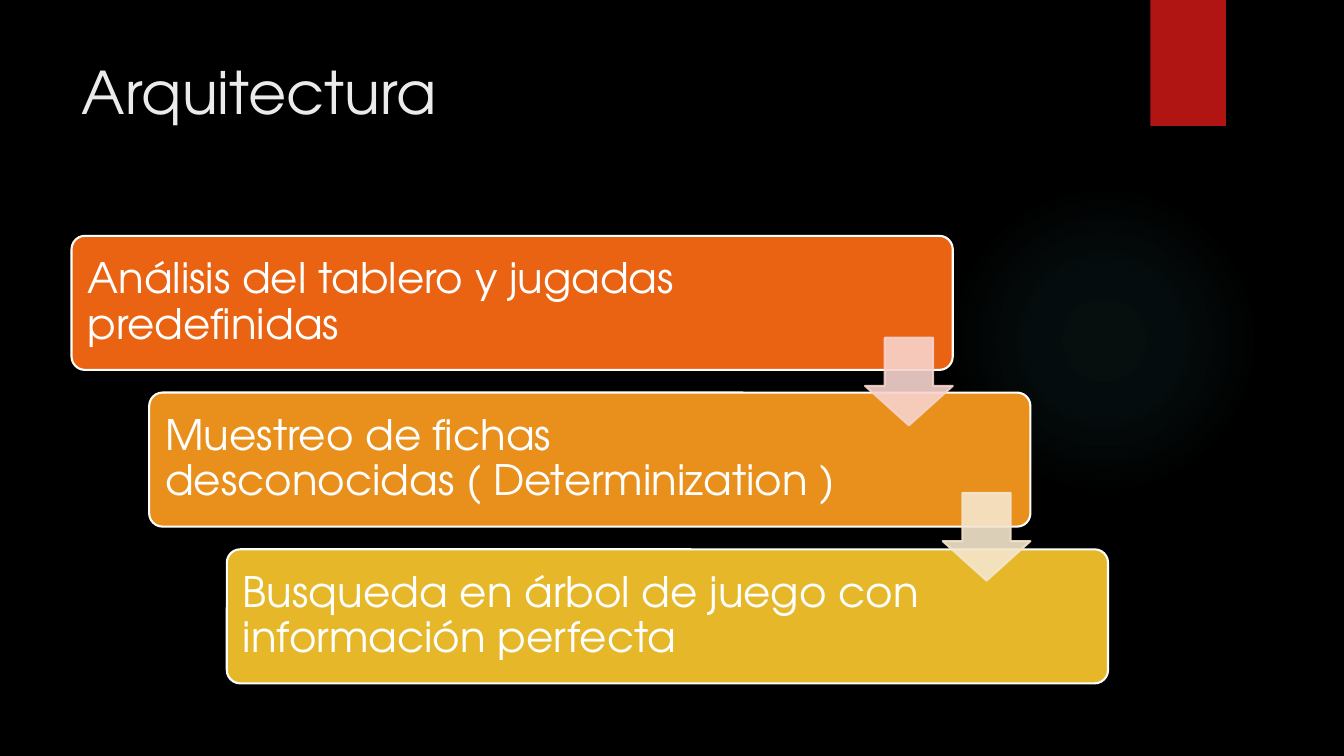
from lxml import etree
from pptx import Presentation
from pptx.dml.color import RGBColor
from pptx.enum.shapes import MSO_SHAPE
from pptx.enum.text import MSO_ANCHOR, PP_ALIGN
from pptx.oxml import parse_xml
from pptx.oxml.ns import nsdecls, qn
from pptx.util import Inches, Pt

ELLIPSE = MSO_SHAPE.OVAL
RECTANGLE = MSO_SHAPE.RECTANGLE
ROUNDED = MSO_SHAPE.ROUNDED_RECTANGLE
DOWN_ARROW = MSO_SHAPE.DOWN_ARROW
TOP = MSO_ANCHOR.TOP
MIDDLE = MSO_ANCHOR.MIDDLE
LEFT = PP_ALIGN.LEFT

STEPS = [
    ("Análisis del tablero y jugadas predefinidas", "EA6312", 1.47),
    ("Muestreo de fichas desconocidas ( Determinization )", "E9901C", 1.75),
    ("Busqueda en árbol de juego con información perfecta", "E6B729", 1.75),
]
ARROW_COLOURS = ["F7D3CC", "F5E6CD"]


def colour(value):
    return RGBColor.from_string(value)


def set_values(target, values):
    for name, value in values.items():
        setattr(target, name, value)


class SlideBuilder:
    font_name = "TeX Gyre Adventor"
    line_width = Pt(1.5)

    def __init__(self, slide):
        self.slide = slide

    def background(self, fill):
        self.slide.background.fill.solid()
        self.slide.background.fill.fore_color.rgb = colour(fill)

    def text(self, shape, text, size, text_colour, frame_format, paragraph_format):
        frame = shape.text_frame
        set_values(frame, {"word_wrap": True, **frame_format})
        paragraph = frame.paragraphs[0]
        set_values(paragraph, {"alignment": LEFT, **paragraph_format})
        run = paragraph.add_run()
        run.text = text
        set_values(run.font, {"name": self.font_name, "size": Pt(size)})
        run.font.color.rgb = colour(text_colour)

    def title(self, box, text):
        title = self.slide.shapes.title
        left, top, width, height = map(Inches, box)
        set_values(title, {"left": left, "top": top, "width": width, "height": height})
        self.text(title, text, 42, "EBEBEB", {"vertical_anchor": TOP}, {})

    def shape(self, kind, box, fill, line=None, adjustments=(), opacity=None):
        shape = self.slide.shapes.add_shape(kind, *map(Inches, box))
        shape.shadow.inherit = False
        for index, value in enumerate(adjustments):
            shape.adjustments[index] = value
        shape.fill.solid()
        shape.fill.fore_color.rgb = colour(fill)
        if line:
            shape.line.color.rgb = colour(line)
            shape.line.width = self.line_width
        else:
            shape.line.fill.background()
        if opacity:
            for element in shape._element.spPr.iter(qn("a:srgbClr")):
                etree.SubElement(element, qn("a:alpha"), val=str(opacity * 1000))
        return shape

    def glow(self, box, fill, stops):
        shape = self.shape(ELLIPSE, box, fill)
        stop_xml = "".join(
            f'<a:gs pos="{position * 1000}"><a:srgbClr val="{fill}">'
            f'<a:alpha val="{opacity * 1000}"/></a:srgbClr></a:gs>'
            for position, opacity in stops
        )
        gradient = parse_xml(
            f'<a:gradFill {nsdecls("a")}><a:gsLst>{stop_xml}</a:gsLst>'
            '<a:path path="circle"><a:fillToRect l="50000" t="50000" '
            'r="50000" b="50000"/></a:path></a:gradFill>'
        )
        properties = shape._element.spPr
        properties.replace(properties.find(qn("a:solidFill")), gradient)

    def ribbon(self, box, fill):
        shape = self.shape(RECTANGLE, box, fill)
        effects = shape._element.spPr.find(qn("a:effectLst"))
        effects.append(parse_xml(
            f'<a:outerShdw {nsdecls("a")} blurRad="{Pt(3)}" dist="{Pt(2)}" '
            'dir="5400000" rotWithShape="0"><a:srgbClr val="000000">'
            '<a:alpha val="45000"/></a:srgbClr></a:outerShdw>'
        ))

    def step(self, box, text, fill, right_margin):
        shape = self.shape(ROUNDED, box, fill, "FFFFFF", [0.1])
        margin = Inches(0.12)
        frame_format = {
            "vertical_anchor": MIDDLE,
            "margin_left": margin,
            "margin_top": margin,
            "margin_bottom": margin,
            "margin_right": Inches(right_margin),
        }
        self.text(shape, text, 30, "FFFFFF", frame_format, {"line_spacing": 0.9})

    def arrow(self, box, fill):
        self.shape(DOWN_ARROW, box, fill, fill, [0.55, 0.45], 90)


def main():
    presentation = Presentation()
    presentation.slide_width = Inches(13.33)
    presentation.slide_height = Inches(7.5)
    slide = presentation.slides.add_slide(presentation.slide_layouts[5])
    builder = SlideBuilder(slide)
    builder.background("000000")
    builder.glow((9.41, 1.83, 3.08, 3.08), "50B9C1", [(0, 7), (36, 6), (69, 0)])
    builder.ribbon((11.41, 0, 0.75, 1.25), "B01513")
    builder.title((0.71, 0.5, 10.29, 1.53), "Arquitectura")
    for index, (text, fill, right_margin) in enumerate(STEPS):
        box = (0.71 + 0.77 * index, 2.34 + 1.555 * index, 8.74, 1.33)
        builder.step(box, text, fill, right_margin)
    for index, fill in enumerate(ARROW_COLOURS):
        builder.arrow((8.58 + 0.77 * index, 3.35 + 1.54 * index, 0.87, 0.87), fill)
    presentation.save("out.pptx")


if __name__ == "__main__":
    main()
